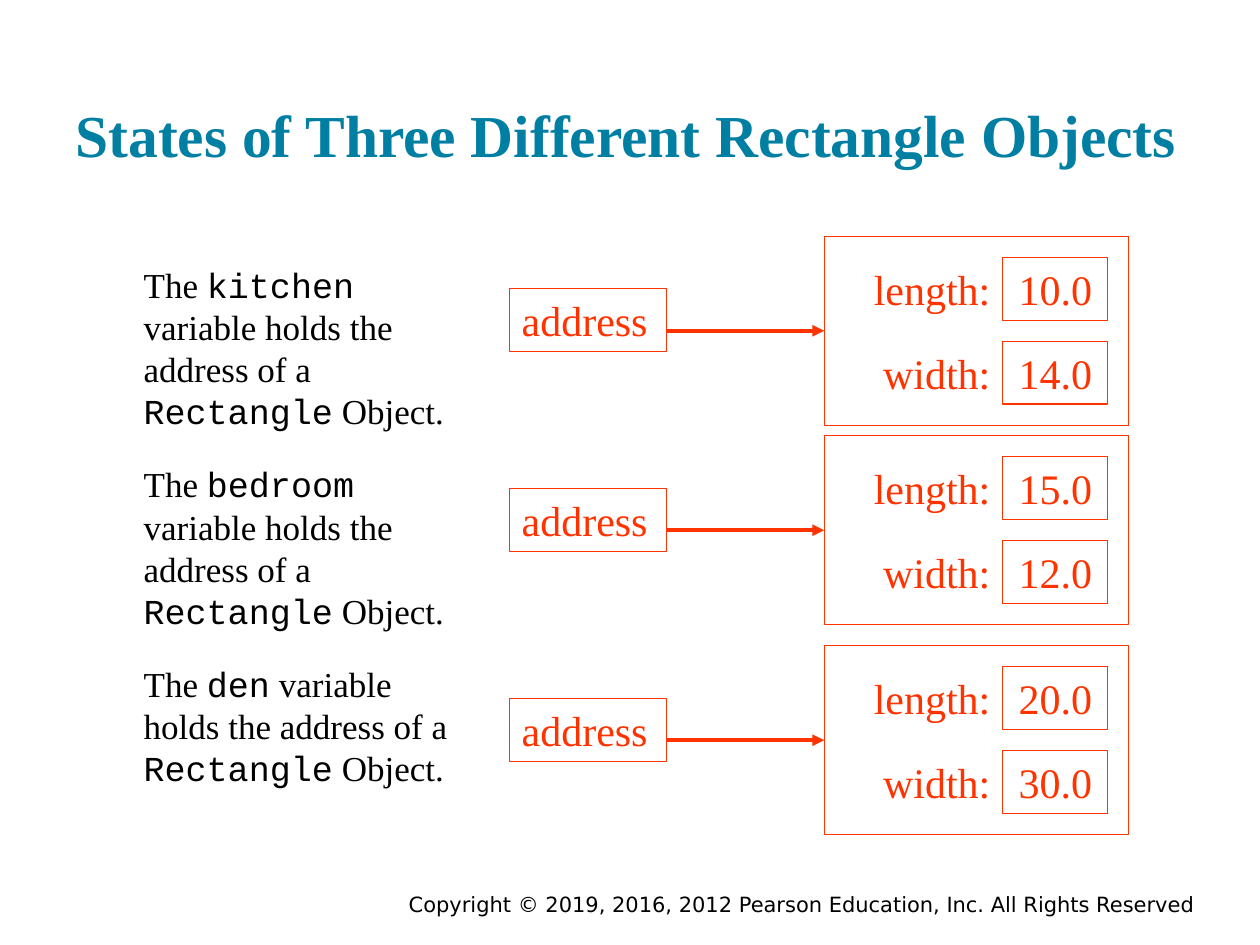
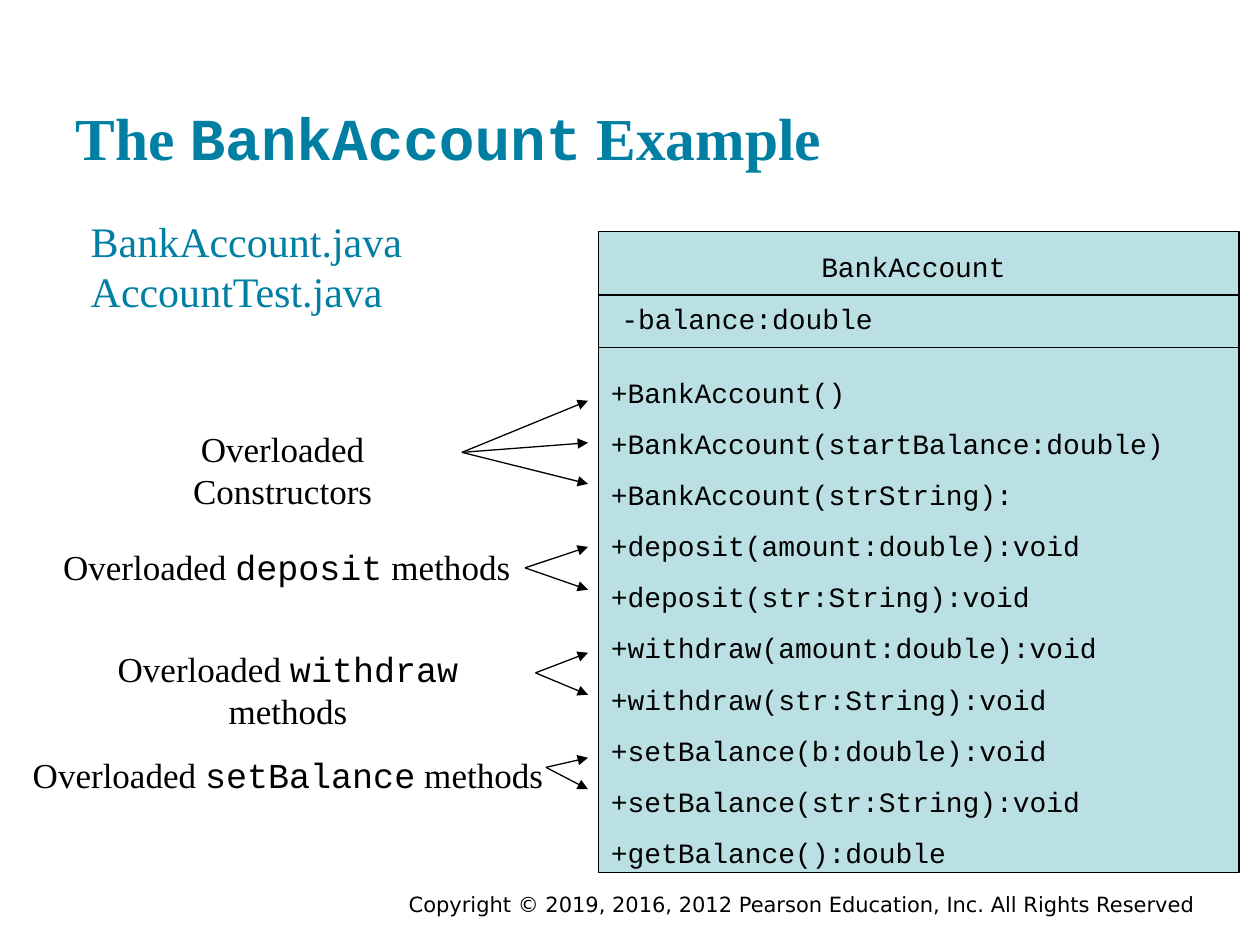
from lxml.etree import SubElement
from pptx import Presentation
from pptx.dml.color import RGBColor
from pptx.enum.shapes import MSO_CONNECTOR as Connector, MSO_SHAPE as Shape
from pptx.enum.text import MSO_ANCHOR as Anchor, MSO_AUTO_SIZE as AutoSize, PP_ALIGN as Align
from pptx.oxml.ns import qn
from pptx.util import Pt

COLORS = {"title": "007FA3", "object": "FF3300", "class": "BBE0E3", "ink": "000000"}
SERIF, MONO, FOOTER_FONT = "Times New Roman", "Courier New", "DejaVu Sans"
COPYRIGHT = "Copyright © 2019, 2016, 2012 Pearson Education, Inc. All Rights Reserved"
LEFT_SIDE = 1

# Variable name, top of its object, top of its description, length, width
ROOMS = [
    ("kitchen", 135, 147, "10.0", "14.0"),
    ("bedroom", 249, 261, "15.0", "12.0"),
    ("den", 369, 375, "20.0", "30.0"),
]

METHODS = [
    "+BankAccount()",
    "+BankAccount(startBalance:double)",
    "+BankAccount(strString):",
    "+deposit(amount:double):void",
    "+deposit(str:String):void",
    "+withdraw(amount:double):void",
    "+withdraw(str:String):void",
    "+setBalance(b:double):void",
    "+setBalance(str:String):void",
    "+getBalance():double",
]

# Label, its left, top and width, where its arrows start, heights they point to
OVERLOADS = [
    ("Overloaded Constructors", 54, 240.5, 215, (264, 258.5), (229, 253, 276.5)),
    ("Overloaded `deposit` methods", 28.8, 308, 270, (300, 324.5), (312.5, 337)),
    ("Overloaded `withdraw` methods", 23.8, 366.5, 281.5, (306, 384.5), (373, 397)),
    ("Overloaded `setBalance` methods", 11.5, 427, 306, (312, 438.5), (433, 451)),
]


def rgb(color):
    return RGBColor.from_string(COLORS[color])


def add_runs(paragraph, text, size, color, font=SERIF, bold=False):
    """Add text run by run; parts between backticks are monospaced."""
    for i, part in enumerate(text.split("`")):
        if part:
            run = paragraph.add_run()
            run.text = part
            run.font.name = MONO if i % 2 else font
            run.font.size = Pt(size)
            run.font.bold = bold
            run.font.color.rgb = rgb(color)


def write(frame, lines, size, color="ink", align=Align.LEFT, font=SERIF, gap=0, wrap=True):
    frame.word_wrap = wrap
    frame.vertical_anchor = Anchor.TOP
    for i, line in enumerate(lines):
        paragraph = frame.add_paragraph() if i else frame.paragraphs[0]
        paragraph.alignment = align
        paragraph.line_spacing = Pt(1.2 * size)
        paragraph.space_before = Pt(gap if i else 0)
        add_runs(paragraph, line, size, color, font)


def add_text(slide, box, lines, size, **style):
    label = slide.shapes.add_textbox(*map(Pt, box))
    write(label.text_frame, lines, size, **style)


def add_box(slide, box, outline, fill=None):
    rect = slide.shapes.add_shape(Shape.RECTANGLE, *map(Pt, box))
    rect.shadow.inherit = False
    if fill:
        rect.fill.solid()
        rect.fill.fore_color.rgb = rgb(fill)
    else:
        rect.fill.background()
    rect.line.color.rgb = rgb(outline)
    rect.line.width = Pt(0.75)
    return rect


def add_value_box(slide, box, text, align=Align.CENTER):
    value = add_box(slide, box, "object")
    write(value.text_frame, [text], 24, color="object", align=align)


def add_line(slide, start, end, color="ink", width=0.75, arrow=True):
    line = slide.shapes.add_connector(Connector.STRAIGHT, *map(Pt, (*start, *end)))
    line.line.color.rgb = rgb(color)
    line.line.width = Pt(width)
    if arrow:
        SubElement(line.line._get_or_add_ln(), qn("a:tailEnd"), type="triangle")
    SubElement(line._element.spPr, qn("a:effectLst"))
    return line


def add_slide(prs, title, title_top):
    """Start a slide with the shared title style and copyright footer."""
    slide = prs.slides.add_slide(prs.slide_layouts[5])
    heading = slide.shapes.title
    heading.left, heading.top, heading.width, heading.height = map(Pt, (36, title_top, 648, 86.4))
    frame = heading.text_frame
    frame.auto_size = AutoSize.NONE
    frame.word_wrap = True
    frame.vertical_anchor = Anchor.BOTTOM
    frame.margin_left = frame.margin_right = frame.margin_top = frame.margin_bottom = Pt(7.2)
    frame.paragraphs[0].alignment = Align.LEFT
    add_runs(frame.paragraphs[0], title, 34, "title", bold=True)
    add_text(slide, (126, 506, 564, 16), [COPYRIGHT], 12, align=Align.RIGHT, font=FOOTER_FONT)
    return slide


def add_room(slide, name, top, text_top, length, width):
    """One variable: description, address box, arrow and object state."""
    add_text(slide, (75, text_top, 204, 104),
             [f"The `{name}` variable holds the address of a `Rectangle` Object."], 20)
    add_value_box(slide, (291, top + 30, 90, 36), "address", Align.LEFT)
    room_object = add_box(slide, (471, top, 174, 108), "object")
    for row, (field, value) in enumerate([("length:", length), ("width:", width)]):
        y = top + 12 + 48 * row
        add_text(slide, (483, y, 90, 36), [field], 24, color="object", align=Align.RIGHT)
        add_value_box(slide, (573, y, 60, 36), value)
    reference = add_line(slide, (381, top + 54), (471, top + 54), "object", 2.25)
    reference.end_connect(room_object, LEFT_SIDE)


def add_class_diagram(slide):
    add_box(slide, (342, 132.5, 366, 366), "ink", fill="class")
    add_text(slide, (342, 139, 360, 26.5), ["BankAccount"], 16, align=Align.CENTER, font=MONO)
    add_text(slide, (348, 168.5, 324, 26.5), ["-balance:double"], 16, font=MONO)
    add_text(slide, (342, 211, 366, 289.5), METHODS, 16, font=MONO, gap=10)
    for y in (168.5, 198.5):
        add_line(slide, (342, y), (708, y), arrow=False)


def add_overload(slide, label, left, top, width, start, targets):
    add_text(slide, (left, top, width, 31.5), [label], 20, align=Align.CENTER, wrap=False)
    for y in targets:
        add_line(slide, start, (336, y))


def main():
    prs = Presentation()
    prs.slide_width, prs.slide_height = Pt(720), Pt(540)

    # Object states
    states = add_slide(prs, "States of Three Different Rectangle Objects", 17.5)
    for room in ROOMS:
        add_room(states, *room)

    # Class diagram with overloaded members
    account = add_slide(prs, "The `BankAccount` Example", 19.5)
    add_text(account, (44.75, 119.5, 222, 65), ["BankAccount.java AccountTest.java"], 24, color="title")
    add_class_diagram(account)
    for overload in OVERLOADS:
        add_overload(account, *overload)

    prs.save("out.pptx")


if __name__ == "__main__":
    main()
